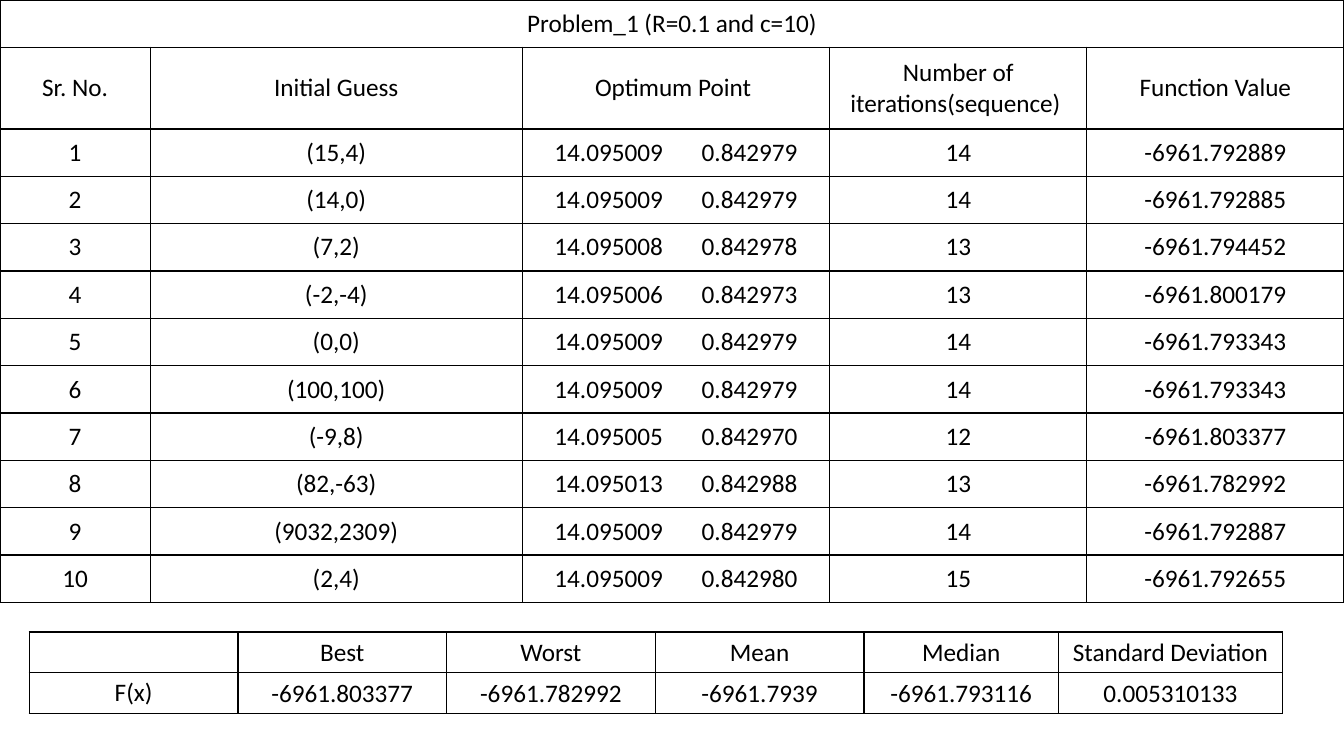
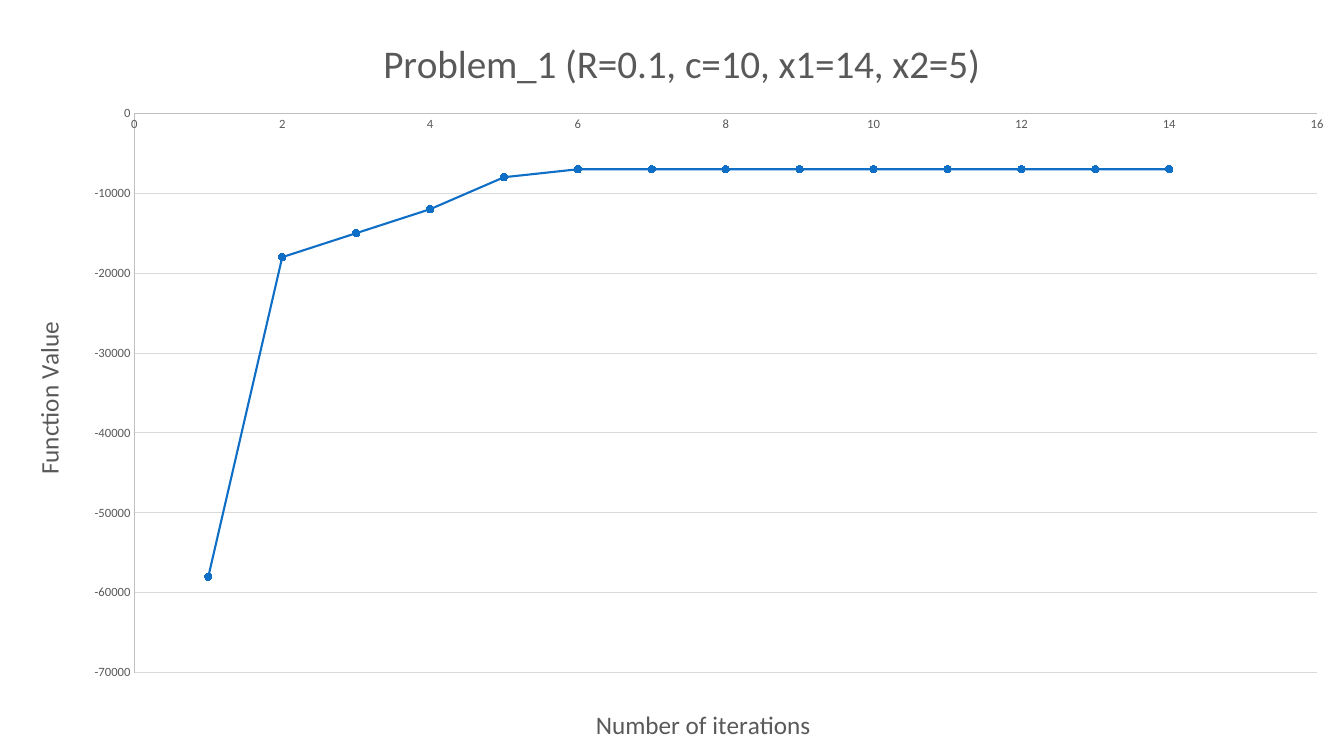
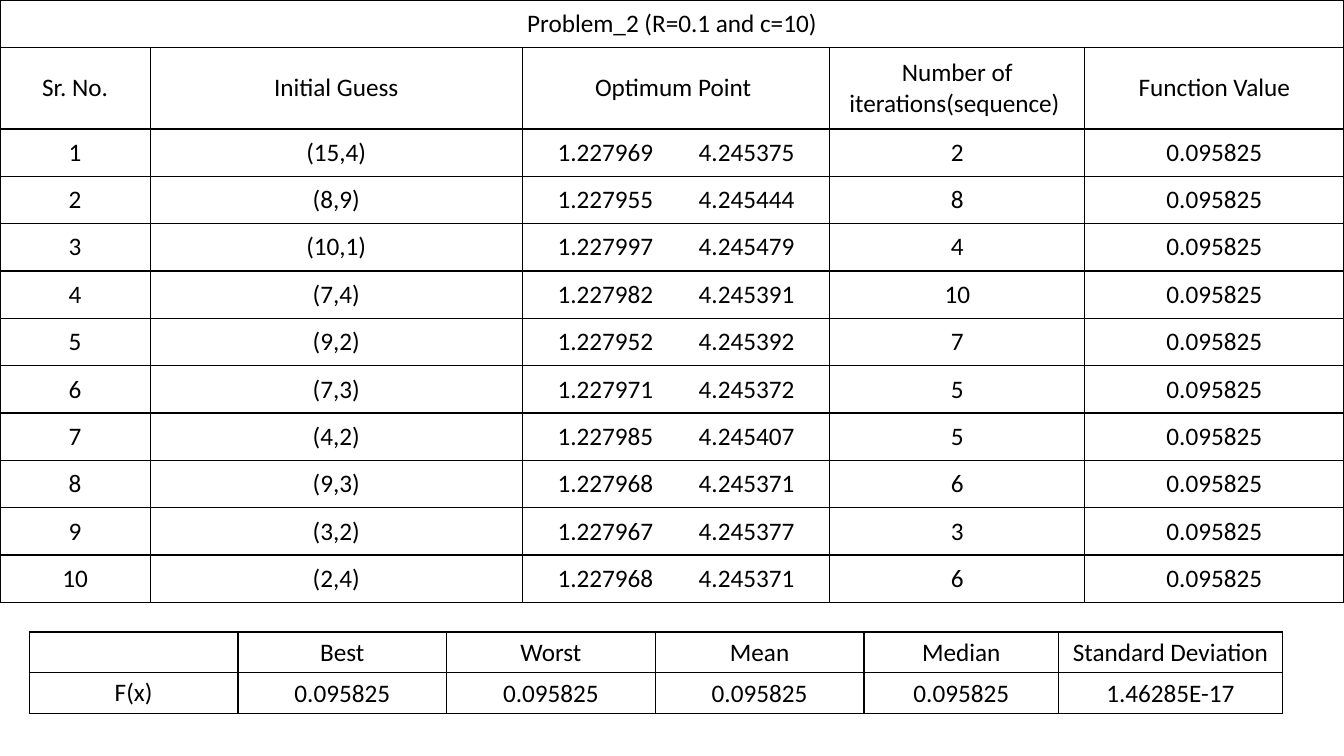
from lxml.etree import SubElement as Sub
from pptx import Presentation
from pptx.chart.data import XyChartData as XyData
from pptx.dml.color import RGBColor
from pptx.enum.chart import XL_CHART_TYPE as Kind, XL_MARKER_STYLE as Mark, XL_TICK_MARK as Tick
from pptx.enum.text import MSO_ANCHOR as Anchor, PP_ALIGN as Align
from pptx.oxml.ns import qn
from pptx.util import Inches, Pt


def hue(code):
    """Turn a hex string into a colour."""
    return RGBColor.from_string(code)


def write(frame, text, size=18, color="000000", font="Calibri", align=Align.CENTER, tab=None):
    """Write one formatted paragraph into a text frame."""
    para = frame.paragraphs[0]
    para.alignment = align
    if tab:
        stops = Sub(para._p.get_or_add_pPr(), qn("a:tabLst"))
        Sub(stops, qn("a:tab"), pos=str(Inches(tab)), algn="l")
    run = para.add_run()
    run.text = text
    run.font.size = Pt(size)
    run.font.name = font
    run.font.bold = False
    run.font.color.rgb = hue(color)


def place(node, at, x, y, w=None, h=None):
    """Give a chart part a fixed place, in shares of the chart."""
    spot = node.find(qn("c:layout"))
    if spot is None:
        spot = Sub(node, qn("c:layout"))
        node.insert(at, spot)
    man = Sub(spot, qn("c:manualLayout"))
    if w:
        Sub(man, qn("c:layoutTarget"), val="inner")
    for key in ("xMode", "yMode"):
        Sub(man, qn("c:" + key), val="edge")
    for key, val in zip("xywh", (x, y, w, h)):
        if val is not None:
            Sub(man, qn("c:" + key), val=str(val))


class Deck:
    """Hold the style and the current slide."""

    INK, PAPER, GREY = "000000", "FFFFFF", "595959"
    BLUE, RULE, GRID = "0F6FC6", "BFBFBF", "D9D9D9"
    WIDE, HIGH = 13.33, 7.5

    def __init__(self):
        """Start an empty deck."""
        self.file = Presentation()
        self.file.slide_width = Inches(self.WIDE)
        self.file.slide_height = Inches(self.HIGH)

    def page(self):
        """Add a blank slide."""
        self.slide = self.file.slides.add_slide(self.file.slide_layouts[6])

    def edge(self, cell):
        """Draw thin lines round a cell."""
        props = cell._tc.get_or_add_tcPr()
        for at, side in enumerate("LRTB"):
            line = Sub(props, qn("a:ln" + side), w=str(Pt(1)))
            fill = Sub(line, qn("a:solidFill"))
            Sub(fill, qn("a:srgbClr"), val=self.INK)
            props.insert(at, line)

    def table(self, left, top, cols, rows, data):
        """Add a ruled table of centred text."""
        shape = self.slide.shapes.add_table(
            len(rows), len(cols), Inches(left), Inches(top), Inches(sum(cols)), Inches(sum(rows)))
        grid = shape.table
        grid.first_row = grid.horz_banding = False
        for col, wide in zip(grid.columns, cols):
            col.width = Inches(wide)
        for row, high in zip(grid.rows, rows):
            row.height = Inches(high)
        for r, line in enumerate(data):
            for c, text in enumerate(line):
                cell = grid.cell(r, c)
                cell.fill.solid()
                cell.fill.fore_color.rgb = hue(self.PAPER)
                cell.vertical_anchor = Anchor.MIDDLE
                self.edge(cell)
                if text and "\t" not in text:
                    write(cell.text_frame, text)
        return grid

    def runs(self, title, cols, inset, tab, data):
        """Add the table of all runs, with paired points on a tab stop."""
        heads = ("Sr. No.", "Initial Guess", "Optimum Point ",
                 "Number of iterations(sequence) ", "Function Value")
        body = [(str(n), guess, f"{a}\t{b}", str(count), value)
                for n, (guess, a, b, count, value) in enumerate(data, 1)]
        rows = [0.47, 0.81] + [0.47] * len(body)
        grid = self.table(0, 0, cols, rows, [(title, "", "", "", ""), heads, *body])
        grid.cell(0, 0).merge(grid.cell(0, len(cols) - 1))
        for r, line in enumerate(body, 2):
            cell = grid.cell(r, 2)
            cell.margin_left = Inches(inset)
            write(cell.text_frame, line[2], align=Align.LEFT, tab=tab)

    def stats(self, values):
        """Add the summary table."""
        heads = ("", "Best", "Worst", "Mean", "Median", "Standard Deviation")
        cols = [2.07] * 4 + [1.93, 2.22]
        grid = self.table(0.29, 6.27, cols, [0.4] * 2, [heads, ("F(x)", *values)])
        for c in range(1, len(cols)):
            cell = grid.cell(1, c)
            cell.margin_left = cell.margin_right = cell.margin_top = Inches(0.01)
            cell.margin_bottom = 0

    def axis(self, axis, title, low, high, step, spot):
        """Format one axis and its title."""
        axis.minimum_scale, axis.maximum_scale, axis.major_unit = low, high, step
        axis.major_tick_mark = axis.minor_tick_mark = Tick.NONE
        axis.has_major_gridlines = False
        axis.format.line.color.rgb = hue(self.RULE)
        axis.format.line.width = Pt(0.75)
        font = axis.tick_labels.font
        font.size, font.name, font.color.rgb = Pt(9), "Calibri", hue(self.GREY)
        write(axis.axis_title.text_frame, title, color=self.GREY)
        place(axis.axis_title._element, 1, *spot)

    def chart(self, title, values):
        """Add a full-slide chart of value against step."""
        data = XyData()
        line = data.add_series("Series 1")
        for x, y in enumerate(values, 1):
            line.add_data_point(x, y)
        chart = self.slide.shapes.add_chart(
            Kind.XY_SCATTER_LINES, 0, 0, Inches(self.WIDE), Inches(self.HIGH), data).chart
        chart.has_legend = False
        chart.font.size, chart.font.name = Pt(10), "Calibri"
        chart.has_title = True
        write(chart.chart_title.text_frame, title, size=28, color=self.GREY)
        place(chart.chart_title._element, 1, 0.28, 0.04)
        self.axis(chart.category_axis, "Number of iterations", 0, 16, 2, (0.44, 0.93))
        self.axis(chart.value_axis, "Function Value", -70000, 0, 10000, (0.02, 0.42))
        rule = chart.value_axis.major_gridlines.format.line
        rule.color.rgb, rule.width = hue(self.GRID), Pt(0.75)
        place(chart._chartSpace.chart.plotArea, 0, 0.1, 0.15, 0.88, 0.74)
        plot = chart.plots[0]
        plot.vary_by_categories = False
        curve = plot.series[0]
        curve.format.line.color.rgb = hue(self.BLUE)
        curve.format.line.width = Pt(1.5)
        curve.marker.style, curve.marker.size = Mark.CIRCLE, 5
        dot = curve.marker.format
        dot.fill.solid()
        dot.fill.fore_color.rgb = dot.line.color.rgb = hue(self.BLUE)


FIRST = [
    ("(15,4)", "14.095009", "0.842979", 14, "-6961.792889"),
    ("(14,0)", "14.095009", "0.842979", 14, "-6961.792885"),
    ("(7,2)", "14.095008", "0.842978", 13, "-6961.794452"),
    ("(-2,-4)", "14.095006", "0.842973", 13, "-6961.800179"),
    ("(0,0)", "14.095009", "0.842979", 14, "-6961.793343"),
    ("(100,100)", "14.095009", "0.842979", 14, "-6961.793343"),
    ("(-9,8)", "14.095005", "0.842970", 12, "-6961.803377"),
    ("(82,-63)", "14.095013", "0.842988", 13, "-6961.782992"),
    ("(9032,2309)", "14.095009", "0.842979", 14, "-6961.792887"),
    ("(2,4)", "14.095009", "0.842980", 15, "-6961.792655"),
]
SAME = "0.095825"
NEXT = [(*row, SAME) for row in (
    ("(15,4)", "1.227969", "4.245375", 2),
    ("(8,9)", "1.227955", "4.245444", 8),
    ("(10,1)", "1.227997", "4.245479", 4),
    ("(7,4)", "1.227982", "4.245391", 10),
    ("(9,2)", "1.227952", "4.245392", 7),
    ("(7,3)", "1.227971", "4.245372", 5),
    ("(4,2)", "1.227985", "4.245407", 5),
    ("(9,3)", "1.227968", "4.245371", 6),
    ("(3,2)", "1.227967", "4.245377", 3),
    ("(2,4)", "1.227968", "4.245371", 6),
)]
CURVE = [-58000, -18000, -15000, -12000, -8000] + [-7000] * 9


def main():
    """Build the three slides."""
    deck = Deck()
    deck.page()
    deck.runs("Problem_1 (R=0.1 and c=10)", [1.49, 3.69, 3.05, 2.55, 2.55], 0.32, 1.46, FIRST)
    deck.stats(["-6961.803377", "-6961.782992", "-6961.7939", "-6961.793116", "0.005310133"])
    deck.page()
    deck.chart("Problem_1 (R=0.1, c=10, x1=14, x2=5)", CURVE)
    deck.page()
    deck.runs("Problem_2 (R=0.1 and c=10)", [1.49, 3.69, 3.05, 2.53, 2.57], 0.35, 1.4, NEXT)
    deck.stats([SAME] * 4 + ["1.46285E-17"])
    deck.file.save("out.pptx")


if __name__ == "__main__":
    main()
